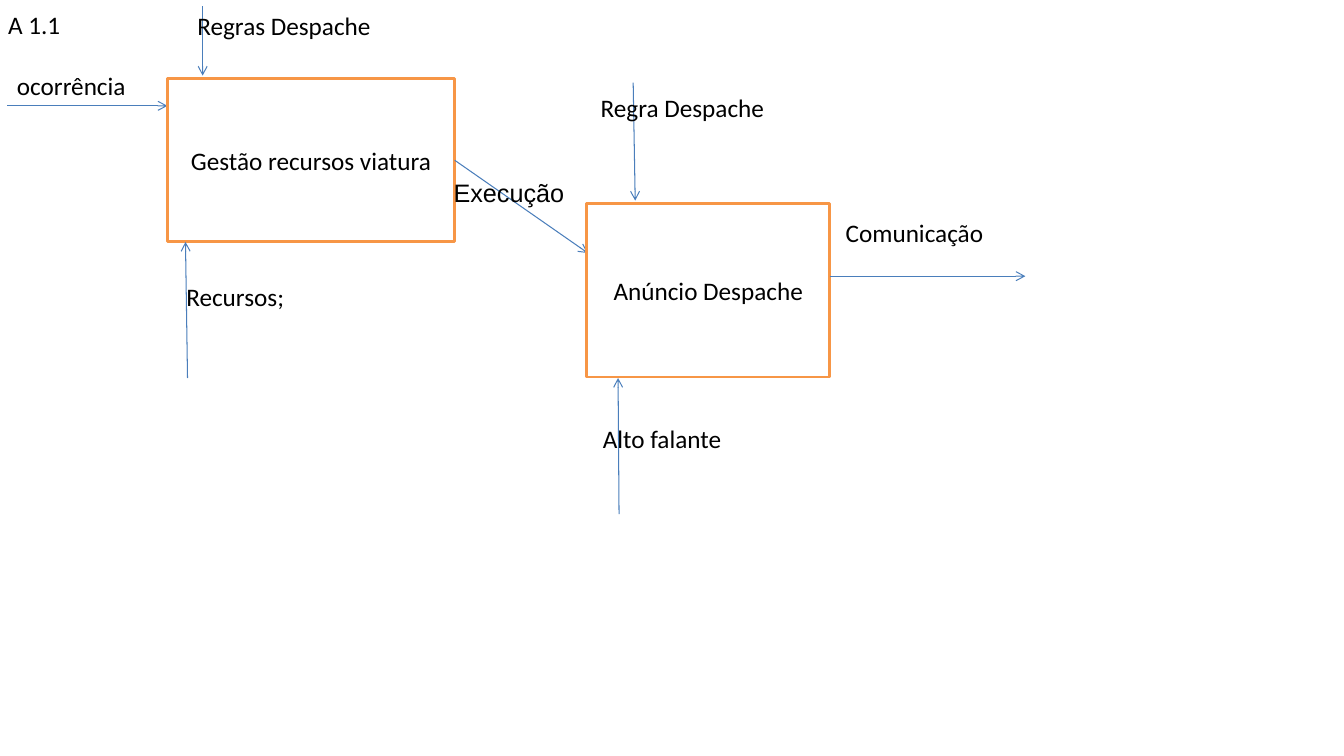
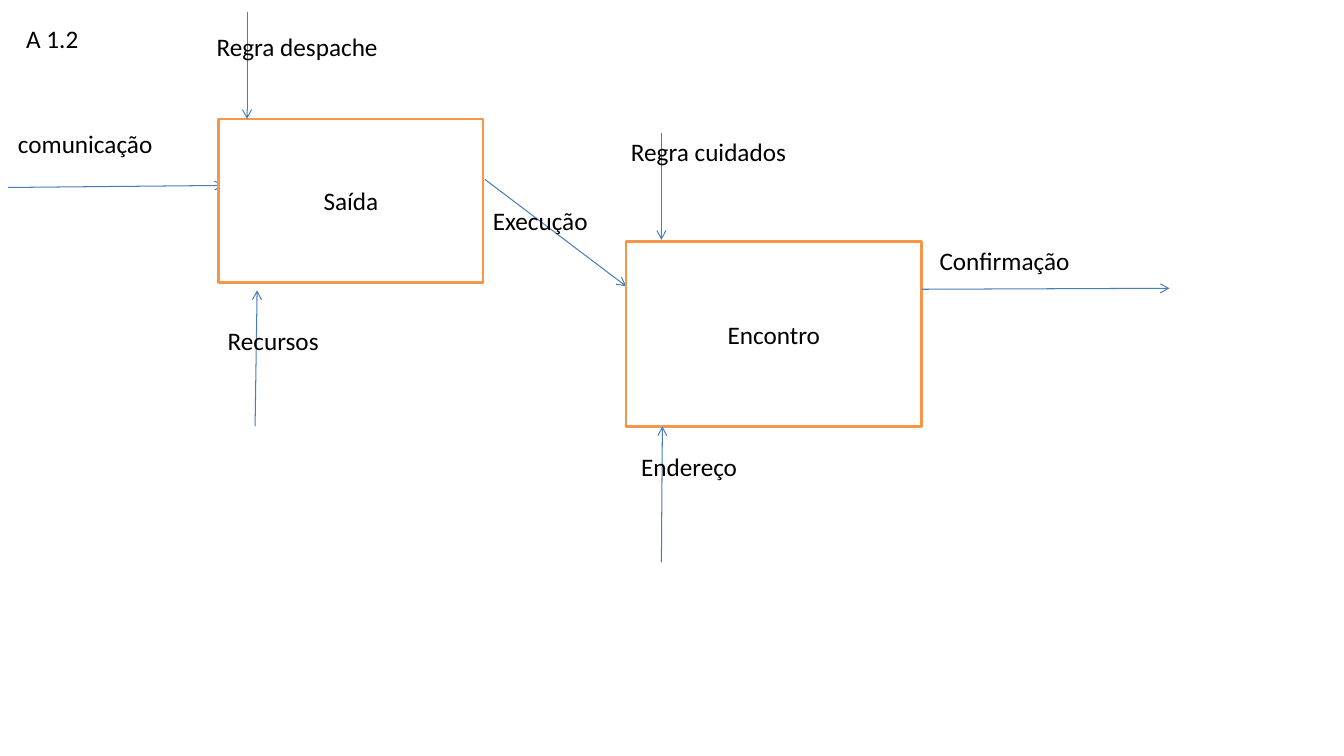
import pptx
import pptx.util
import pptx.dml.color
import pptx.enum.shapes
import pptx.enum.text
import pptx.oxml
import pptx.oxml.ns
from pptx.util import Inches

INK, PAPER, EDGE, LINE = "000000", "FFFFFF", "F79646", "4A7EBB"
FONT = "Calibri"
ALIGN = pptx.enum.text.PP_ALIGN
ANCHOR = pptx.enum.text.MSO_ANCHOR


def color(code):
    """Turn a hex string into a colour."""
    return pptx.dml.color.RGBColor.from_string(code)


def write(frame, text, font=FONT, align=ALIGN.LEFT, anchor=ANCHOR.TOP):
    """Put one run of styled text in a frame."""
    frame.word_wrap = True
    frame.vertical_anchor = anchor
    line = frame.paragraphs[0]
    line.alignment = align
    run = line.add_run()
    run.text = text
    run.font.size = pptx.util.Pt(18)
    run.font.name = font
    run.font.color.rgb = color(INK)


def title(slide, text, left, top, width):
    """Place the diagram number in the title placeholder."""
    shape = slide.shapes.title
    shape.left, shape.top = Inches(left), Inches(top)
    shape.width, shape.height = Inches(width), Inches(0.4)
    write(shape.text_frame, text)


def arrow(slide, start, end):
    """Draw a thin line with an open arrowhead at its end."""
    line = slide.shapes.add_connector(
        pptx.enum.shapes.MSO_CONNECTOR.STRAIGHT,
        *(Inches(n) for n in (*start, *end)))
    line.line.color.rgb = color(LINE)
    line.line.width = pptx.util.Pt(0.75)
    tail = pptx.oxml.ns.qn("a:tailEnd")
    line.line._get_or_add_ln().append(
        pptx.oxml.parse_xml(
            '<a:tailEnd xmlns:a="http://schemas.openxmlformats.org/'
            'drawingml/2006/main" type="arrow"/>')
        if tail else None)
    props = line._element.spPr
    props.append(props.makeelement(pptx.oxml.ns.qn("a:effectLst"), {}))
    return line


def flow(slide, box, text, spot, start, end, font=FONT, node=None):
    """Draw a labelled arrow, measured from the corner of a box."""
    left, top, width, height = box
    line = arrow(slide, (left + start[0], top + start[1]),
                 (left + end[0], top + end[1]))
    if node is not None and start == (width, height / 2):
        line.begin_connect(node, 3)
    label = slide.shapes.add_textbox(
        Inches(left + spot[0]), Inches(top + spot[1]),
        Inches(spot[2]), Inches(0.4))
    write(label.text_frame, text, font)


def stage(slide, box, name, flows, under=()):
    """Draw an activity box with the flows below and above it."""
    for item in under:
        flow(slide, box, *item)
    node = slide.shapes.add_shape(
        pptx.enum.shapes.MSO_SHAPE.RECTANGLE, *(Inches(n) for n in box))
    node.shadow.inherit = False
    node.fill.solid()
    node.fill.fore_color.rgb = color(PAPER)
    node.line.color.rgb = color(EDGE)
    node.line.width = pptx.util.Pt(2)
    write(node.text_frame, name, align=ALIGN.CENTER, anchor=ANCHOR.MIDDLE)
    for item in flows:
        flow(slide, box, *item, node=node)


def dispatch(slide):
    """Build diagram A 1.1."""
    title(slide, "A 1.1", -0.02, 0.04, 1.09)
    stage(slide, (1.66, 0.78, 2.85, 1.62), "Gestão recursos viatura", [
        ("Regras Despache", (0.2, -0.73, 1.93), (0.35, -0.72), (0.35, -0.03)),
        ("Recursos;", (0.09, 1.96, 1.76), (0.2, 2.97), (0.18, 1.62)),
        ("Execução", (2.74, 0.93, 1.73), (2.85, 0.81), (4.17, 1.73), "Arial"),
    ], [("ocorrência", (-1.59, -0.13, 1.68), (-1.59, 0.27), (0, 0.27))])
    stage(slide, (5.82, 2.02, 2.41, 1.72), "Anúncio Despache", [
        ("Regra Despache", (0.04, -1.15, 2.43), (0.46, -1.2), (0.48, -0.03)),
        ("Alto falante", (0.06, 2.13, 2.22), (0.32, 3.08), (0.31, 1.73)),
        ("Comunicação", (2.47, 0.09, 1.94), (2.41, 0.72), (4.35, 0.72)),
    ])


def leave(slide):
    """Build diagram A 1.2."""
    title(slide, "A 1.2", 0.16, 0.18, 1.55)
    stage(slide, (2.17, 1.18, 2.62, 1.62), "Saída", [
        ("Regra despache", (-0.12, -0.92, 2.6), (0.28, -1.06), (0.28, 0)),
        ("Recursos", (-0.01, 2, 2.36), (0.36, 3.05), (0.38, 1.7)),
        ("Execução", (2.62, 0.81, 1.54), (2.64, 0.6), (4.04, 1.66)),
    ], [("comunicação", (-2.09, 0.04, 2.04), (-2.09, 0.68), (0.05, 0.66))])
    stage(slide, (6.21, 2.4, 2.93, 1.83), "Encontro", [
        ("Regra cuidados", (-0.05, -1.1, 2.31), (0.35, -1.08), (0.35, -0.02)),
        ("Endereço", (0.05, 2.03, 2.77), (0.35, 3.18), (0.36, 1.83)),
        ("Confirmação", (3.01, -0.02, 2.31), (2.93, 0.47), (5.39, 0.46)),
    ])


def main():
    """Build and save the deck."""
    deck = pptx.Presentation()
    deck.slide_width, deck.slide_height = Inches(13.33), Inches(7.5)
    for build in (dispatch, leave):
        build(deck.slides.add_slide(deck.slide_layouts[5]))
    deck.save("out.pptx")


if __name__ == "__main__":
    main()
